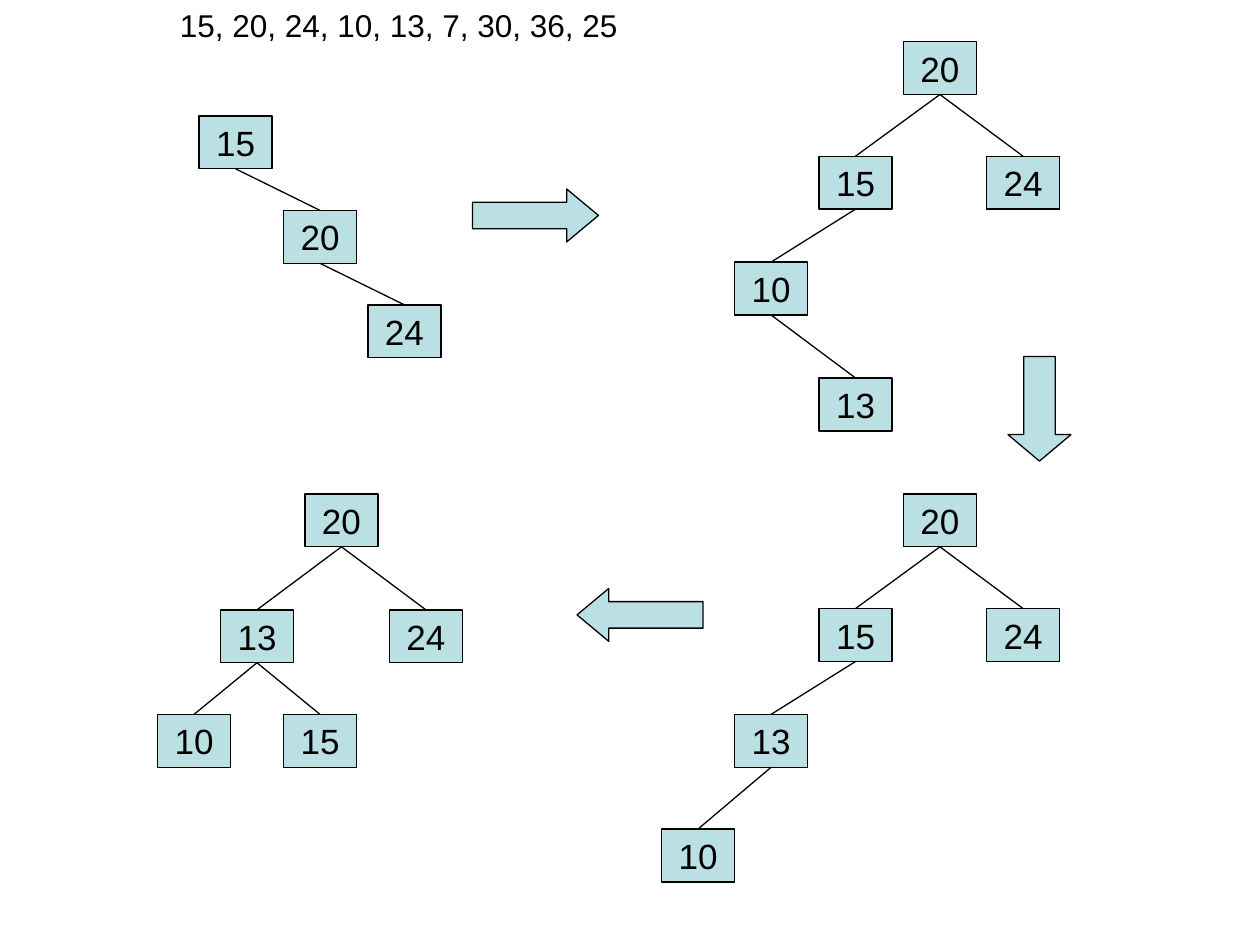
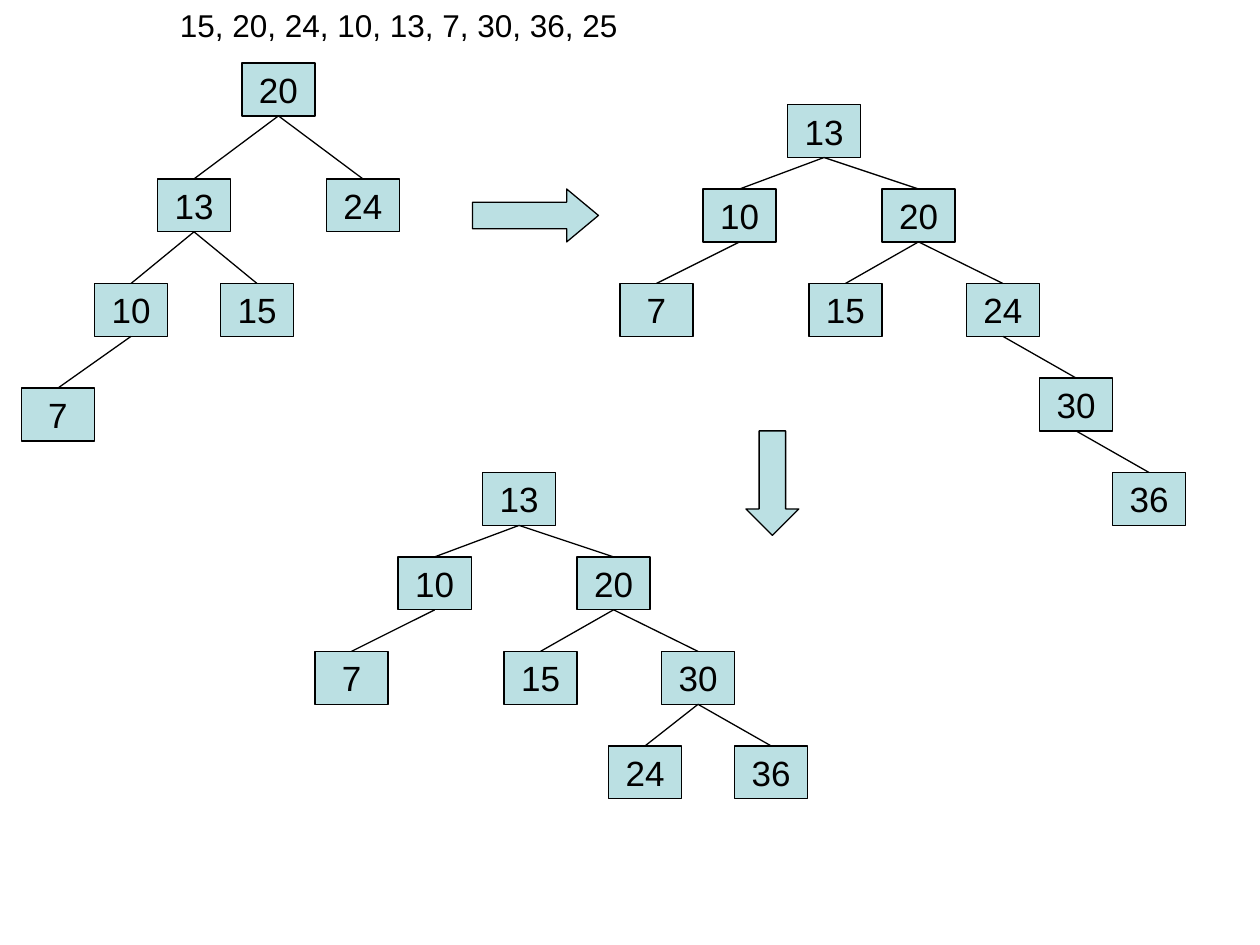
from dataclasses import dataclass

import pptx
import pptx.dml.color
import pptx.enum.shapes
import pptx.enum.text
import pptx.oxml
import pptx.oxml.ns
import pptx.util
from pptx.util import Inches

BLACK = pptx.dml.color.RGBColor(0x00, 0x00, 0x00)
PALE_TEAL = pptx.dml.color.RGBColor(0xBB, 0xE0, 0xE3)
FONT = "Arial"
LINE_WIDTH = pptx.util.Pt(0.75)
NODE_W, NODE_H = 0.58, 0.42
KEYS = "15, 20, 24, 10, 13, 7, 30, 36, 25"
SHAPE = pptx.enum.shapes.MSO_SHAPE


@dataclass(frozen=True)
class Node:
    """A tree node: its key, top-left corner in inches, and its children."""
    key: int
    left: float
    top: float
    children: tuple["Node", ...] = ()


@dataclass(frozen=True)
class Arrow:
    """A block arrow; head is the head length relative to the short side."""
    kind: SHAPE
    left: float
    top: float
    width: float
    height: float
    head: float = 0.6


@dataclass(frozen=True)
class Step:
    """One slide of the insertion sequence."""
    trees: tuple[Node, ...]
    arrows: tuple[Arrow, ...]


def insertion_tree(middle: Node) -> Node:
    """The tree of 20 over 15 and 24, with the given node under 15."""
    dy = middle.top - 5.67
    return Node(20, 7.17, 3.92 + dy, (
        Node(15, 6.5, 4.83 + dy, (middle,)),
        Node(24, 7.83, 4.83 + dy),
    ))


def balanced_tree(left: float, top: float, under_10: tuple[Node, ...] = ()) -> Node:
    """The tree of 20 over 13 and 24, with its root at left, top."""
    return Node(20, left, top, (
        Node(13, left - 0.67, top + 0.92, (
            Node(10, left - 1.17, top + 1.75, under_10),
            Node(15, left - 0.17, top + 1.75),
        )),
        Node(24, left + 0.67, top + 0.92),
    ))


def rotated_tree(left: float, top: float, right_child: Node) -> Node:
    """The tree of 13 over 10 and 20, with the given right child under 20."""
    return Node(13, left, top, (
        Node(10, left - 0.67, top + 0.67, (Node(7, left - 1.33, top + 1.42),)),
        Node(20, left + 0.75, top + 0.67, (
            Node(15, left + 0.17, top + 1.42),
            right_child,
        )),
    ))


STEPS = (
    Step(
        trees=(
            Node(15, 1.58, 0.92, (Node(20, 2.25, 1.67, (Node(24, 2.92, 2.42),)),)),
            insertion_tree(Node(10, 5.83, 2.08, (Node(13, 6.5, 3),))),
            insertion_tree(Node(13, 5.83, 5.67, (Node(10, 5.25, 6.58),))),
            balanced_tree(2.42, 3.92),
        ),
        arrows=(
            Arrow(SHAPE.RIGHT_ARROW, 3.75, 1.5, 1, 0.42),
            Arrow(SHAPE.DOWN_ARROW, 8, 2.83, 0.5, 0.83, 0.42),
            Arrow(SHAPE.LEFT_ARROW, 4.58, 4.67, 1, 0.42),
        ),
    ),
    Step(
        trees=(
            balanced_tree(1.92, 0.5, (Node(7, 0.17, 3.08),)),
            rotated_tree(6.25, 0.83, Node(24, 7.67, 2.25, (
                Node(30, 8.25, 3, (Node(36, 8.83, 3.75),)),
            ))),
            rotated_tree(3.83, 3.75, Node(30, 5.25, 5.17, (
                Node(24, 4.83, 5.92),
                Node(36, 5.83, 5.92),
            ))),
        ),
        arrows=(
            Arrow(SHAPE.RIGHT_ARROW, 3.75, 1.5, 1, 0.42),
            Arrow(SHAPE.DOWN_ARROW, 5.92, 3.42, 0.42, 0.83, 0.5),
        ),
    ),
)


def add_block(slide: pptx.slide.Slide, kind: SHAPE, left: float, top: float,
              width: float, height: float) -> pptx.shapes.autoshape.Shape:
    sp = slide.shapes.add_shape(kind, Inches(left), Inches(top), Inches(width), Inches(height))
    sp.shadow.inherit = False
    sp.fill.solid()
    sp.fill.fore_color.rgb = PALE_TEAL
    sp.line.color.rgb = BLACK
    sp.line.width = LINE_WIDTH
    return sp


def style_text(p: pptx.text.text._Paragraph, size: int) -> None:
    p.font.name = FONT
    p.font.size = pptx.util.Pt(size)
    p.font.color.rgb = BLACK


def add_edge(slide: pptx.slide.Slide, parent: Node, child: Node) -> None:
    """Join the parent's bottom centre to the child's top centre."""
    line = slide.shapes.add_connector(
        pptx.enum.shapes.MSO_CONNECTOR.STRAIGHT,
        Inches(parent.left + NODE_W / 2), Inches(parent.top + NODE_H),
        Inches(child.left + NODE_W / 2), Inches(child.top),
    )
    line.line.color.rgb = BLACK
    line.line.width = LINE_WIDTH
    sp_pr = line._element.spPr
    sp_pr.append(pptx.oxml.parse_xml(f"<a:effectLst {pptx.oxml.ns.nsdecls('a')}/>"))


def add_tree(slide: pptx.slide.Slide, node: Node) -> None:
    sp = add_block(slide, SHAPE.RECTANGLE, node.left, node.top, NODE_W, NODE_H)
    tf = sp.text_frame
    tf.word_wrap = False
    tf.vertical_anchor = pptx.enum.text.MSO_ANCHOR.MIDDLE
    p = tf.paragraphs[0]
    p.text = str(node.key)
    p.alignment = pptx.enum.text.PP_ALIGN.CENTER
    style_text(p, 20)
    for child in node.children:
        add_edge(slide, node, child)
        add_tree(slide, child)


def add_arrow(slide: pptx.slide.Slide, arrow: Arrow) -> None:
    sp = add_block(slide, arrow.kind, arrow.left, arrow.top, arrow.width, arrow.height)
    sp.adjustments[0] = 0.5
    sp.adjustments[1] = arrow.head


def add_key_list(slide: pptx.slide.Slide) -> None:
    box = slide.shapes.add_textbox(Inches(0.83), Inches(0), Inches(8.17), Inches(0.4))
    tf = box.text_frame
    tf.word_wrap = True
    tf.auto_size = pptx.enum.text.MSO_AUTO_SIZE.SHAPE_TO_FIT_TEXT
    p = tf.paragraphs[0]
    p.text = KEYS
    p.level = 1
    p_pr = p._p.get_or_add_pPr()
    p_pr.set("marL", str(Inches(0.5)))
    p_pr.set("indent", "0")
    style_text(p, 18)


def main() -> None:
    prs = pptx.Presentation()
    prs.slide_width, prs.slide_height = Inches(10), Inches(7.5)
    for step in STEPS:
        slide = prs.slides.add_slide(prs.slide_layouts[6])
        add_key_list(slide)
        for tree in step.trees:
            add_tree(slide, tree)
        for arrow in step.arrows:
            add_arrow(slide, arrow)
    prs.save("out.pptx")


if __name__ == "__main__":
    main()
